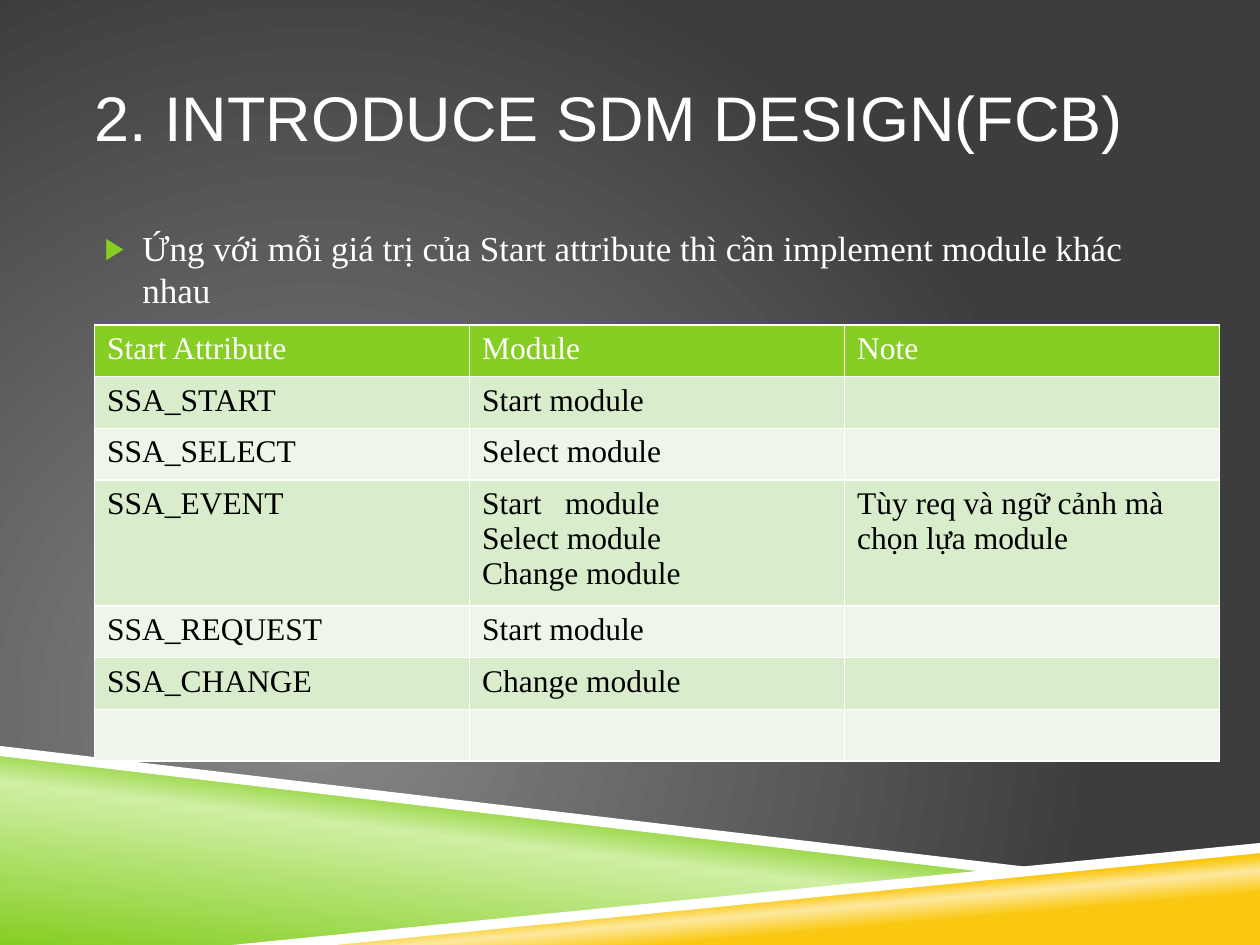
from pptx import Presentation, util as u
from pptx.dml.color import RGBColor
from pptx.enum import text as t
from pptx.oxml import parse_xml
from pptx.oxml.ns import nsdecls, qn

COLORS = {
    "white": "FFFFFF", "black": "000000",
    "green": "86CE24", "pale_green": "CFEFA4",
    "amber": "FAC810", "pale_amber": "FDE99F",
    "glow": "878787", "charcoal": "3D3D3D",
    "band_dark": "D9EDCD", "band_light": "EDF6E8",
}
SERIF = "Times New Roman"
CIRCLE = ('<a:path path="circle"><a:fillToRect l="50000" t="100000" '
          'r="100000" b="50000"/></a:path>')
ROWS = [
    ("Start Attribute", "Module", "Note"),
    ("SSA_START", "Start module", ""),
    ("SSA_SELECT", "Select module", ""),
    ("SSA_EVENT", "Start   module\nSelect module\nChange module",
     "Tùy req và ngữ cảnh mà chọn lựa module"),
    ("SSA_REQUEST", "Start module", ""),
    ("SSA_CHANGE", "Change module", ""),
    ("", "", ""),
]


def rgb(name):
    """Return the named colour."""
    return RGBColor.from_string(COLORS[name])


def set_gradient(fill, owner, stops, direction):
    """Give a fill gradient stops and a direction element."""
    fill.gradient()
    gradient = owner.find(".//" + qn("a:gradFill"))
    marks = "".join(
        f'<a:gs pos="{pos * 1000}"><a:srgbClr val="{COLORS[name]}"/></a:gs>'
        for pos, name in stops)
    gradient.getparent().replace(gradient, parse_xml(
        f'<a:gradFill {nsdecls("a")} rotWithShape="1"><a:gsLst>{marks}</a:gsLst>'
        f'{direction}</a:gradFill>'))


def style_text(frame, size, font, color):
    """Format every run of a text frame."""
    for paragraph in frame.paragraphs:
        for run in paragraph.runs:
            run.font.size = u.Pt(size)
            run.font.name = font
            run.font.bold = False
            run.font.color.rgb = rgb(color)


def place(placeholder, left, top, width, height):
    """Move a placeholder and remove its side insets."""
    placeholder.left, placeholder.top = u.Inches(left), u.Inches(top)
    placeholder.width, placeholder.height = u.Inches(width), u.Inches(height)
    frame = placeholder.text_frame
    frame.margin_left = frame.margin_right = 0
    return frame


def add_ribbon(slide, points):
    """Add a borderless polygon through points in inches."""
    corners = [(u.Inches(x), u.Inches(y)) for x, y in points]
    builder = slide.shapes.build_freeform(*corners[0])
    builder.add_line_segments(corners[1:], close=True)
    ribbon = builder.convert_to_shape()
    ribbon.shadow.inherit = False
    ribbon.line.fill.background()
    return ribbon


def add_backdrop(slide, width, height):
    """Paint the glow and the crossing ribbons along the bottom edge."""
    set_gradient(slide.background.fill, slide.element,
                 [(0, "glow"), (100, "charcoal")], CIRCLE)
    wedges = [
        ([(0, 5.97), (7.92, 6.92), (2, height), (0, height)],
         [(0, "green"), (52, "pale_green"), (66, "green")], 277),
        ([(1.98, height), (width, 6.72), (width, height)],
         [(28, "amber"), (40, "pale_amber"), (48, "amber")], 265),
    ]
    for points, stops, angle in wedges:
        wedge = add_ribbon(slide, points)
        set_gradient(wedge.fill, wedge.element, stops,
                     f'<a:lin ang="{angle * 60000}" scaled="0"/>')
    edges = [
        [(0, 5.92), (0, 6), (7.9, 6.93), (8.32, 6.9)],
        [(width, 6.69), (1.84, height), (2.66, height), (width, 6.77)],
    ]
    for points in edges:
        edge = add_ribbon(slide, points)
        edge.fill.solid()
        edge.fill.fore_color.rgb = rgb("white")


def add_heading(slide, left, top, width, height):
    """Fill the title placeholder."""
    frame = place(slide.shapes.title, left, top, width, height)
    frame.text = "2. INTRODUCE SDM DESIGN(FCB)"
    frame.vertical_anchor = t.MSO_ANCHOR.MIDDLE
    frame.paragraphs[0].alignment = t.PP_ALIGN.LEFT
    style_text(frame, 36, "Arial", "white")


def add_statement(slide, left, top, width, height):
    """Fill the body placeholder with one bulleted statement."""
    frame = place(slide.placeholders[1], left, top, width, height)
    frame.text = ("Ứng với mỗi giá trị của Start attribute thì cần "
                  "implement module khác nhau")
    statement = frame.paragraphs[0]
    statement.space_before = u.Pt(7)
    style_text(frame, 20, SERIF, "white")
    props = statement._p.get_or_add_pPr()
    props.set("marL", str(u.Inches(0.38)))
    props.set("indent", str(u.Inches(-0.3)))
    for bullet in (f'<a:buClr {nsdecls("a")}><a:srgbClr val="{COLORS["green"]}"/></a:buClr>',
                   f'<a:buSzPct {nsdecls("a")} val="85000"/>',
                   f'<a:buFont {nsdecls("a")} typeface="Arial"/>',
                   f'<a:buChar {nsdecls("a")} char="▶"/>'):
        props.append(parse_xml(bullet))


def style_cell(cell, fill, color):
    """Draw white borders, then set the fill and text of a cell."""
    props = cell._tc.get_or_add_tcPr()
    for side in ("lnL", "lnR", "lnT", "lnB"):
        props.append(parse_xml(
            f'<a:{side} {nsdecls("a")} w="{u.Pt(1)}"><a:solidFill>'
            f'<a:srgbClr val="{COLORS["white"]}"/></a:solidFill></a:{side}>'))
    cell.fill.solid()
    cell.fill.fore_color.rgb = rgb(fill)
    style_text(cell.text_frame, 18, SERIF, color)


def add_attribute_table(slide, left, top, width, row_height, tall_height):
    """Add the table that maps start attributes to modules."""
    height = row_height * (len(ROWS) - 1) + tall_height
    table = slide.shapes.add_table(
        len(ROWS), len(ROWS[0]), u.Inches(left), u.Inches(top),
        u.Inches(width), u.Inches(height)).table
    for r, entries in enumerate(ROWS):
        is_tall = any("\n" in entry for entry in entries)
        table.rows[r].height = u.Inches(tall_height if is_tall else row_height)
        band = "green" if r == 0 else ("band_light", "band_dark")[r % 2]
        for c, entry in enumerate(entries):
            cell = table.cell(r, c)
            cell.text = entry
            style_cell(cell, band, "black" if r else "white")


def build():
    """Build and save the slide."""
    deck = Presentation()
    deck.slide_width, deck.slide_height = u.Inches(10), u.Inches(7.5)
    slide = deck.slides.add_slide(deck.slide_layouts[1])
    add_backdrop(slide, 10, 7.5)
    add_heading(slide, 0.75, 0.3, 8.5, 1.25)
    add_statement(slide, 0.75, 1.75, 8.5, 4.08)
    add_attribute_table(slide, 0.75, 2.58, 8.93, 0.41, 1)
    deck.save("out.pptx")


build()
